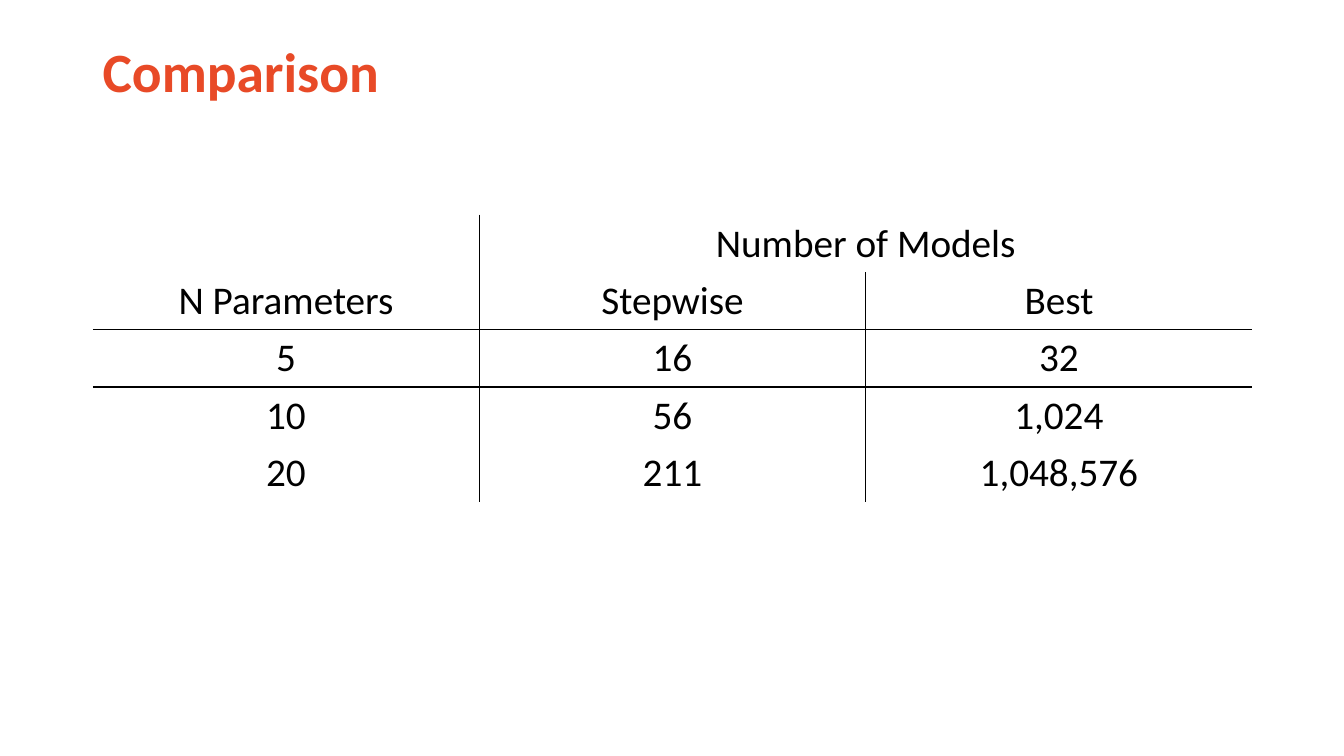
from dataclasses import dataclass

from lxml import etree
from pptx import Presentation
from pptx import util as u
from pptx.dml.color import RGBColor
from pptx.enum import text
from pptx.oxml import ns

ORANGE = RGBColor(0xE8, 0x4A, 0x27)
BLACK = RGBColor(0x00, 0x00, 0x00)
FONT = "Calibri"


@dataclass(frozen=True)
class Grid:
    left: float
    top: float
    width: float
    row: float
    columns: int
    rows: int


@dataclass(frozen=True)
class Entry:
    row: int
    column: int
    label: str


@dataclass(frozen=True)
class Rule:
    sides: tuple[str, str]
    cells: tuple[tuple[int, int], ...]


GRID = Grid(left=0.92, top=2.13, width=11.5, row=0.57, columns=3, rows=5)
MODEL_COUNTS = (
    ("N Parameters", "Stepwise", "Best"),
    ("5", "16", "32"),
    ("10", "56", "1,024"),
    ("20", "211", "1,048,576"),
)
ENTRIES = [Entry(0, 1, "Number of Models")] + [
    Entry(row, column, label)
    for row, labels in enumerate(MODEL_COUNTS, 1)
    for column, label in enumerate(labels)
]
RULES = (
    Rule(("R", "L"), tuple((row, 0) for row in range(GRID.rows))),
    Rule(("R", "L"), tuple((row, 1) for row in range(1, GRID.rows))),
    Rule(("B", "T"), tuple((1, column) for column in range(GRID.columns))),
    Rule(("B", "T"), tuple((2, column) for column in range(GRID.columns))),
)


def write(frame, content: str, *, size: float, color: RGBColor = BLACK,
          bold: bool = False, spacing: float = 1.0,
          align=text.PP_ALIGN.LEFT) -> None:
    paragraph = frame.paragraphs[0]
    paragraph.alignment = align
    paragraph.line_spacing = spacing
    run = paragraph.add_run()
    run.text = content
    run.font.name = FONT
    run.font.size = u.Pt(size)
    run.font.bold = bold
    run.font.color.rgb = color


def ruled_sides() -> set[tuple[int, int, str]]:
    ruled = set()
    for rule in RULES:
        near, far = rule.sides
        for row, column in rule.cells:
            ruled.add((row, column, near))
            neighbour = (row, column + 1) if near == "R" else (row + 1, column)
            ruled.add((*neighbour, far))
    return ruled


def set_border(cell, position: int, side: str, visible: bool) -> None:
    line = etree.Element(ns.qn(f"a:ln{side}"), w=str(u.Pt(1)))
    if visible:
        fill = etree.SubElement(line, ns.qn("a:solidFill"))
        etree.SubElement(fill, ns.qn("a:srgbClr"), val=str(BLACK))
    else:
        etree.SubElement(line, ns.qn("a:noFill"))
    cell._tc.get_or_add_tcPr().insert(position, line)


def add_title(slide) -> None:
    box = slide.shapes.add_textbox(
        u.Inches(GRID.left), u.Inches(0.38), u.Inches(GRID.width), u.Inches(0.71))
    frame = box.text_frame
    frame.word_wrap = True
    frame.vertical_anchor = text.MSO_ANCHOR.MIDDLE
    write(frame, "Comparison", size=39.6, color=ORANGE, bold=True, spacing=0.9)


def add_comparison(slide) -> None:
    table = slide.shapes.add_table(
        GRID.rows, GRID.columns, u.Inches(GRID.left), u.Inches(GRID.top),
        u.Inches(GRID.width), u.Inches(GRID.row * GRID.rows)).table
    table.first_row = False
    table.horz_banding = False
    ruled = ruled_sides()
    for row in range(GRID.rows):
        for column in range(GRID.columns):
            cell = table.cell(row, column)
            cell.fill.background()
            for position, side in enumerate("LRTB"):
                set_border(cell, position, side, (row, column, side) in ruled)
    table.cell(0, 1).merge(table.cell(0, 2))
    for entry in ENTRIES:
        write(table.cell(entry.row, entry.column).text_frame, entry.label,
              size=28, align=text.PP_ALIGN.CENTER)


def main() -> None:
    presentation = Presentation()
    presentation.slide_width = u.Inches(13.33)
    presentation.slide_height = u.Inches(7.5)
    slide = presentation.slides.add_slide(presentation.slide_layouts[6])
    add_title(slide)
    add_comparison(slide)
    presentation.save("out.pptx")


if __name__ == "__main__":
    main()
